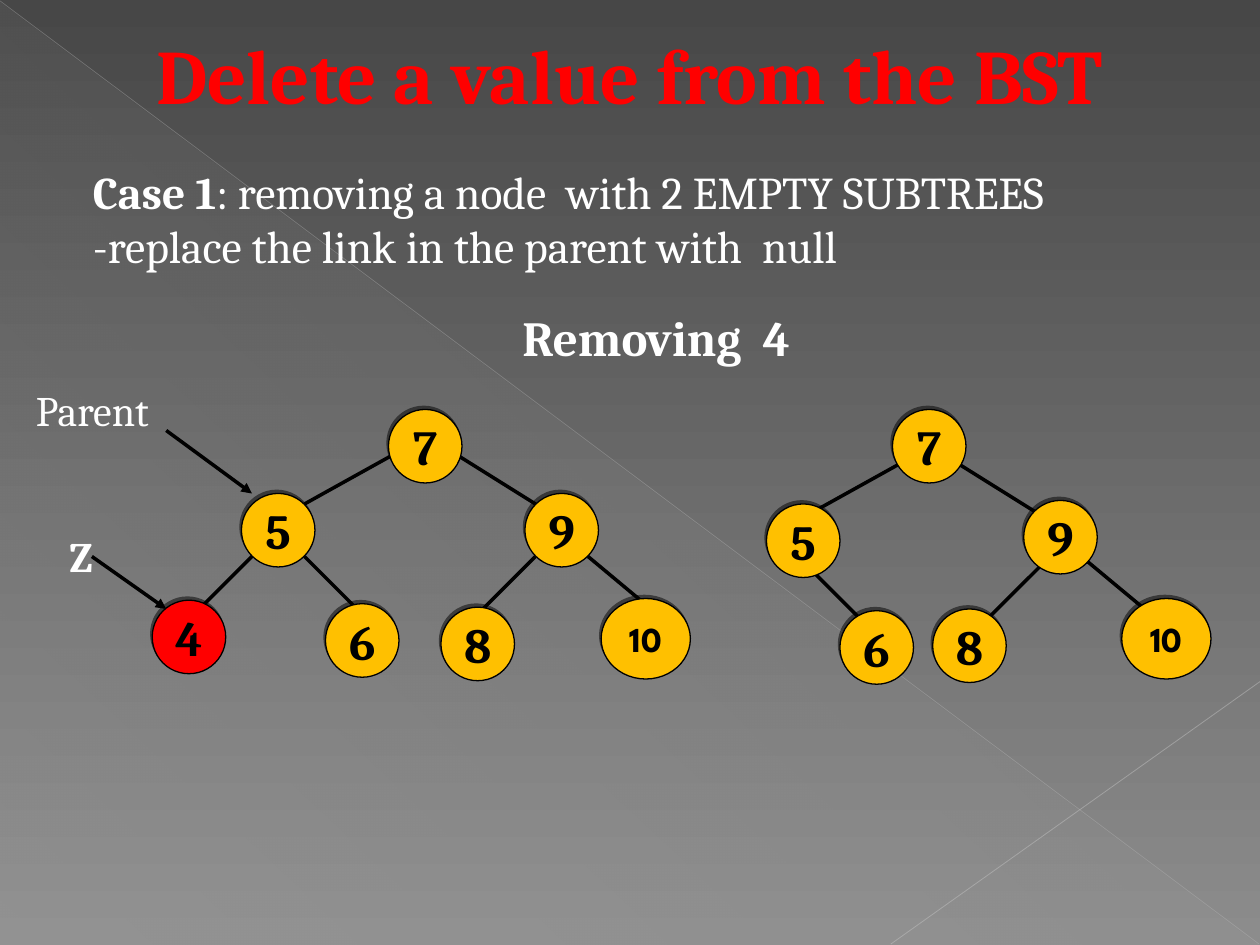
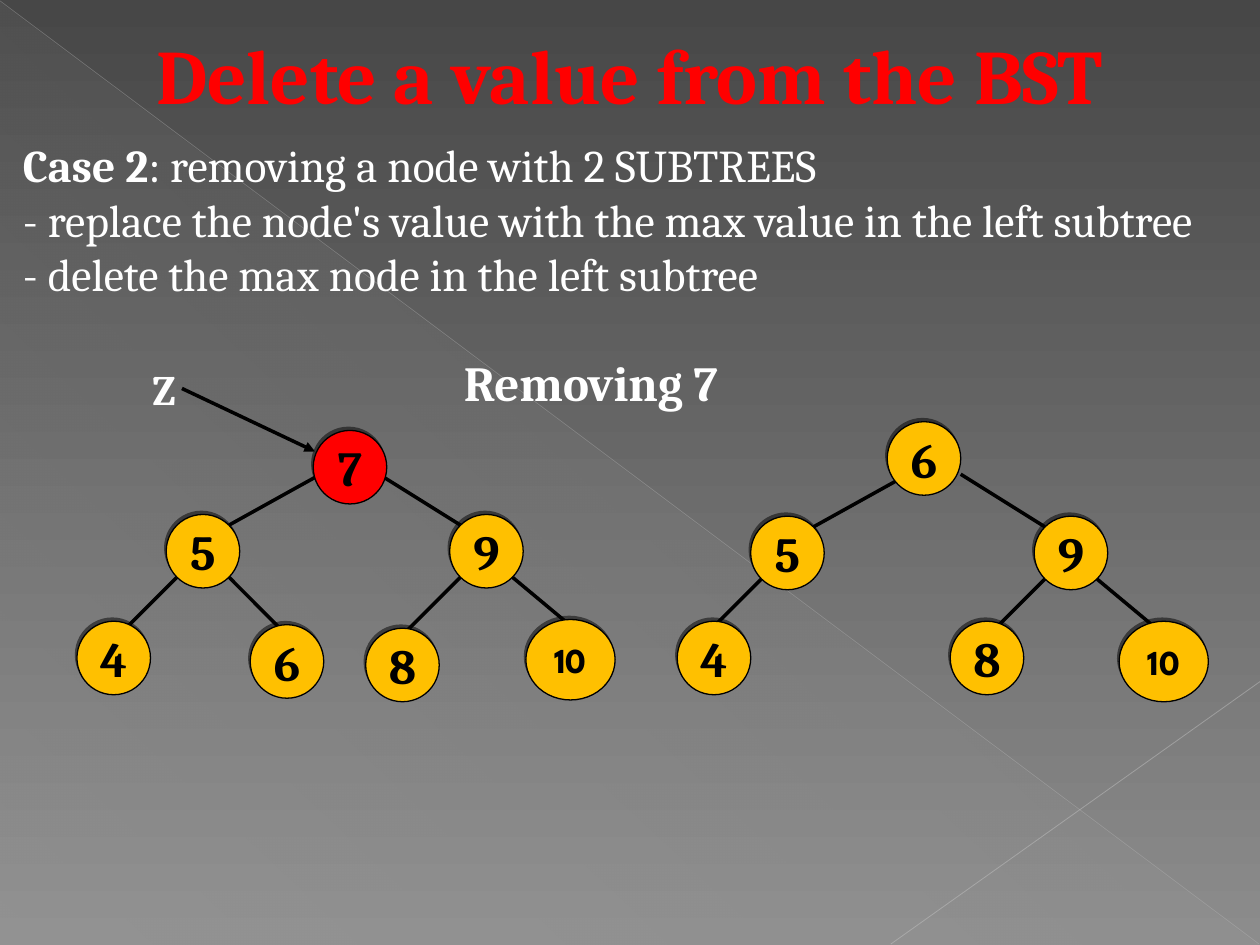
from lxml.etree import SubElement
from pptx import Presentation
from pptx.dml.color import RGBColor
from pptx.enum.shapes import MSO_CONNECTOR as Connector, MSO_SHAPE as Shape
from pptx.enum.text import MSO_ANCHOR as Anchor, MSO_AUTO_SIZE as AutoSize, PP_ALIGN as Align
from pptx.oxml.ns import qn
from pptx.util import Pt

COLORS = {
    "sky": "474747", "ground": "8C8C8C", "veil": "D2D2D2",
    "diagonal": "BFBFBF", "corner": "C6C6C6",
    "title": "FF0000", "text": "FFFFFF", "ink": "000000",
    "node": "FFC000", "removed": "FF0000",
}
SERIF, ROUND = "Cambria", "League Spartan"
WIDTH, HEIGHT = 720, 540

# Edges relative to a tree's origin, keyed by the child's slot
EDGES = {
    "L": ((60, 30), (114, 0)), "R": ((144, 0), (192, 30)),
    "LL": ((0, 90), (30, 60)), "LR": ((60, 60), (90, 90)),
    "RL": ((162, 90), (192, 60)), "RR": ((222, 60), (258, 90)),
}

# Trees: slot -> value and centre, relative to the tree's origin
FULL_TREE = {
    "root": ("7", 129, -3), "L": ("5", 45, 45), "R": ("9", 207, 45),
    "LL": ("4", -6, 106), "LR": ("6", 93, 108),
    "RL": ("8", 159, 110), "RR": ("10", 255, 107),
}
WITHOUT_4 = {
    "root": ("7", 129, -9), "L": ("5", 57, 45), "R": ("9", 204, 43),
    "LR": ("6", 99, 106), "RL": ("8", 152, 105), "RR": ("10", 264.5, 101),
}
WITHOUT_7 = {
    "root": ("6", 123, -9), "L": ("5", 45, 45), "R": ("9", 207, 45),
    "LL": ("4", 3, 105), "RL": ("8", 159, 105), "RR": ("10", 260, 107),
}


def rgb(name):
    return RGBColor.from_string(COLORS[name])


def set_font(run, color="text", **formats):
    for attribute, value in {"name": SERIF, "bold": False, **formats}.items():
        setattr(run.font, attribute, value)
    run.font.color.rgb = rgb(color)


def set_gradient(fill, angle, start, end):
    fill.gradient()
    fill.gradient_angle = 360 - angle
    for stop, color in zip(fill.gradient_stops, (start, end)):
        stop.color.rgb = rgb(color)


def set_opacity(drawn, *percents):
    colors = drawn.element.iter(qn("a:srgbClr"))
    for color, percent in zip(colors, percents):
        SubElement(color, qn("a:alpha"), val=str(percent * 1000))


def add_line(slide, start, end, color="ink", width=2, arrow=False):
    line = slide.shapes.add_connector(
        Connector.STRAIGHT, *(Pt(v) for v in (*start, *end)))
    line.line.color.rgb = rgb(color)
    line.line.width = Pt(width)
    properties = line.element.spPr
    if arrow:
        SubElement(properties.find(qn("a:ln")), qn("a:tailEnd"), type="triangle")
    SubElement(properties, qn("a:effectLst"))
    return line


def add_backdrop(slide):
    veil = slide.shapes.add_shape(Shape.RIGHT_TRIANGLE, Pt(0.5), Pt(1.5),
                                  Pt(WIDTH - 1), Pt(HEIGHT - 1.5))
    veil.shadow.inherit = False
    veil.line.fill.background()
    set_gradient(veil.fill, 133, "veil", "veil")
    set_opacity(veil, 1, 10)
    diagonal = add_line(slide, (0, 0.5), (719.5, 539.5), "diagonal", 0.4)
    set_opacity(diagonal, 35)
    corner = add_line(slide, (WIDTH, 389.5), (509, 539.5), "corner", 0.48)
    set_opacity(corner, 45)


def set_title(slide, text):
    title = slide.shapes.title
    box = {"left": 36, "top": 12, "width": 648, "height": 66}
    for attribute, value in box.items():
        setattr(title, attribute, Pt(value))
    frame = title.text_frame
    for attribute, value in {"auto_size": AutoSize.NONE, "word_wrap": True,
                             "vertical_anchor": Anchor.TOP}.items():
        setattr(frame, attribute, value)
    paragraph = frame.paragraphs[0]
    paragraph.alignment = Align.CENTER
    run = paragraph.add_run()
    run.text = text
    set_font(run, "title", size=Pt(44), bold=True)


def add_text(slide, box, lines, size, wrap=True, align=Align.LEFT,
             before=0, first_spacing=1.0):
    """Each line is a list of (text, bold) runs."""
    frame = slide.shapes.add_textbox(*(Pt(v) for v in box)).text_frame
    frame.word_wrap = wrap
    for index, line in enumerate(lines):
        paragraph = frame.add_paragraph() if index else frame.paragraphs[0]
        formats = {"alignment": align,
                   "space_before": Pt(0 if index else before),
                   "line_spacing": 1.0 if index else first_spacing}
        for attribute, value in formats.items():
            setattr(paragraph, attribute, value)
        for text, bold in line:
            run = paragraph.add_run()
            run.text = text
            set_font(run, size=Pt(size), bold=bold)


def add_pointer(slide, label, box, start, end, bold=True):
    add_text(slide, box, [[(label, bold)]], 24, wrap=False, before=15)
    add_line(slide, start, end, arrow=True)


def add_node(slide, value, x, y, color):
    wide = len(value) > 1
    width, height = (51, 46) if wide else (42, 42)
    node = slide.shapes.add_shape(Shape.OVAL, Pt(x - width / 2), Pt(y - height / 2),
                                  Pt(width), Pt(height))
    node.fill.solid()
    node.fill.fore_color.rgb = rgb(color)
    node.line.color.rgb = rgb("ink")
    node.line.width = Pt(0.75)
    # Hard shadow towards the upper left
    node.shadow.inherit = False
    effects = node.element.spPr.find(qn("a:effectLst"))
    shadow = SubElement(effects, qn("a:outerShdw"), blurRad="0",
                        dist=str(Pt(2)), dir=str(245 * 60000), rotWithShape="0")
    ink = SubElement(shadow, qn("a:srgbClr"), val=COLORS["ink"])
    SubElement(ink, qn("a:alpha"), val="50000")
    # Value
    frame = node.text_frame
    frame.word_wrap = False
    frame.vertical_anchor = Anchor.MIDDLE
    paragraph = frame.paragraphs[0]
    paragraph.alignment = Align.CENTER
    run = paragraph.add_run()
    run.text = value
    set_font(run, "ink", name=ROUND if wide else SERIF,
             size=Pt(20 if wide else 28), bold=True)


def add_tree(slide, origin, nodes, removed=None, nudges=None):
    left, top = origin
    for slot, ends in EDGES.items():
        if slot in nodes:
            dx, dy = (nudges or {}).get(slot, (0, 0))
            add_line(slide, *((left + x + dx, top + y + dy) for x, y in ends))
    for slot, (value, x, y) in nodes.items():
        add_node(slide, value, left + x, top + y,
                 "removed" if slot == removed else "node")


def add_case_slide(prs):
    slide = prs.slides.add_slide(prs.slide_layouts[5])
    add_backdrop(slide)
    set_title(slide, "Delete a value from the BST")
    return slide


def main():
    prs = Presentation()
    prs.slide_width, prs.slide_height = Pt(WIDTH), Pt(HEIGHT)
    set_gradient(prs.slide_master.background.fill, 90, "sky", "ground")

    # Case 1: removing a leaf
    leaf_case = add_case_slide(prs)
    add_text(leaf_case, (46, 90, 662, 70), [
        [("Case 1", True), (": removing a node  with 2 EMPTY SUBTREES", False)],
        [("-replace the link in the parent with  null", False)],
    ], 26, before=16.2)
    add_text(leaf_case, (246, 172, 258, 75), [[("Removing  4", True)]], 28,
             align=Align.CENTER)
    add_tree(leaf_case, (114, 258), FULL_TREE, removed="LL")
    add_tree(leaf_case, (402, 264), WITHOUT_4, nudges={"RR": (-6, -6)})
    add_pointer(leaf_case, "Parent", (13.5, 216, 80, 36), (95, 246), (144, 282),
                bold=False)
    add_pointer(leaf_case, "Z", (32.5, 299.5, 27, 36), (52.5, 318), (95, 348))

    # Case 2: removing a node with two children
    inner_case = add_case_slide(prs)
    add_text(inner_case, (6, 78, 720, 142), [
        [("Case 2", True), (": removing a node with 2 SUBTREES", False)],
        [("- replace the node's value with the max value in the left subtree", False)],
        [("- delete the max node in the left subtree", False)],
    ], 26, before=16.2, first_spacing=0.9)
    add_text(inner_case, (258, 198, 192, 41), [[("Removing 7", True)]], 28, before=17.5)
    add_tree(inner_case, (71, 270), FULL_TREE, removed="root")
    add_tree(inner_case, (405, 271), WITHOUT_7)
    add_pointer(inner_case, "Z", (80, 204, 27, 36), (104, 222), (180, 258))

    prs.save("out.pptx")


if __name__ == "__main__":
    main()
